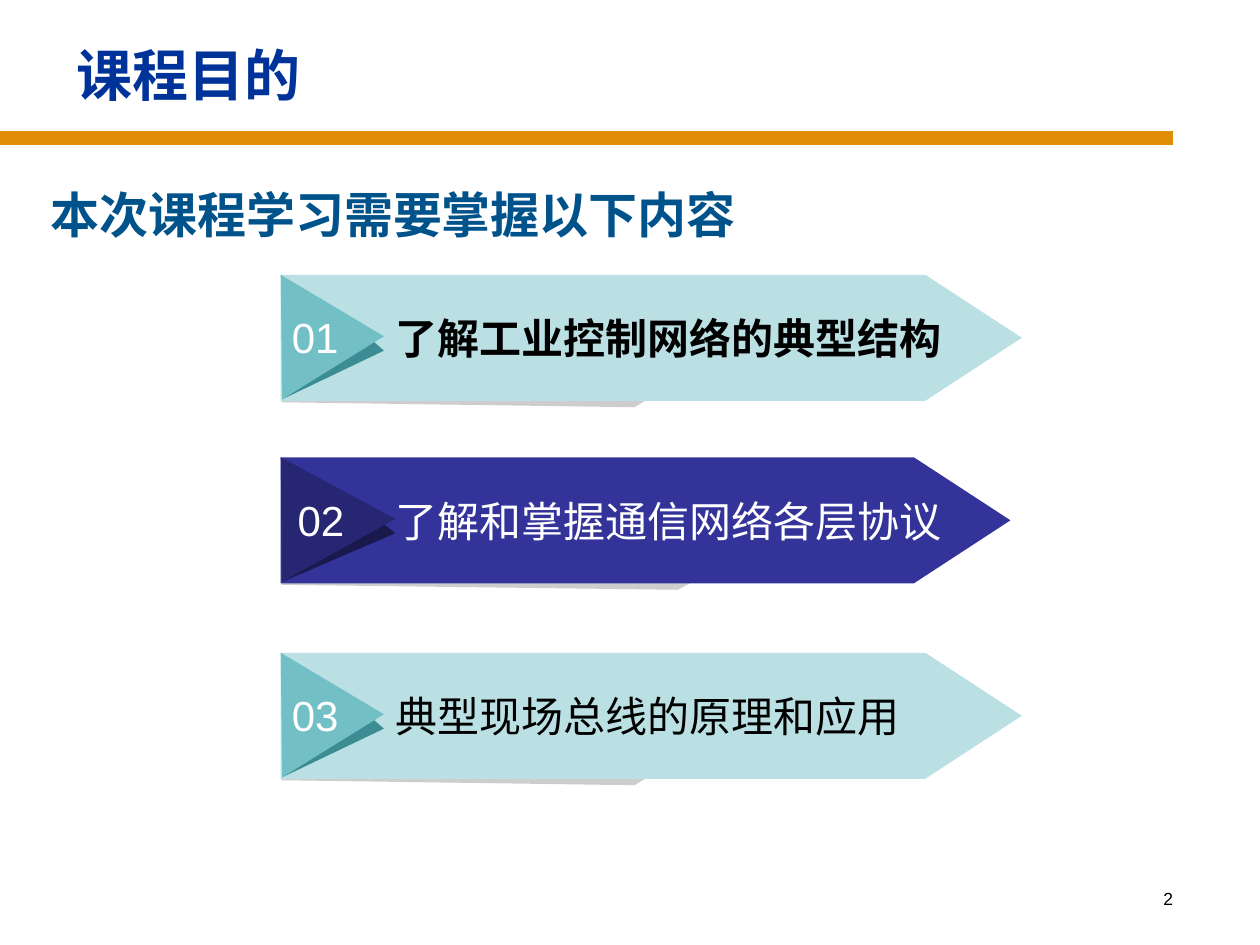
from pptx import Presentation
from pptx.dml.color import RGBColor
from pptx.enum.shapes import MSO_CONNECTOR, MSO_SHAPE
from pptx.enum.text import MSO_ANCHOR, MSO_AUTO_SIZE, PP_ALIGN
from pptx.oxml.ns import qn
from pptx.util import Cm, Pt

STRAIGHT = MSO_CONNECTOR.STRAIGHT
PENTAGON = MSO_SHAPE.PENTAGON
TOP, MIDDLE = MSO_ANCHOR.TOP, MSO_ANCHOR.MIDDLE
LEFT, CENTER, RIGHT = PP_ALIGN.LEFT, PP_ALIGN.CENTER, PP_ALIGN.RIGHT
NO_FIT = MSO_AUTO_SIZE.NONE

BANNER_LEFT, BANNER_HEIGHT = 5.66, 2.54
TEAL = {"band": "BBE0E3", "flap": "72BFC5", "fold": "3C8C93", "ink": "000000"}
NAVY = {"band": "333399", "flap": "262673", "fold": "19194D", "ink": "FFFFFF"}
NARROW = {"width": 14.94, "flap_width": 2.08, "shade_width": 9.14}
WIDE = {"width": 14.71, "flap_width": 2.31, "shade_width": 10.26}
BANNERS = [
    (5.54, "01", "了解工业控制网络的典型结构", True, TEAL, NARROW),
    (9.22, "02", "了解和掌握通信网络各层协议", False, NAVY, WIDE),
    (13.16, "03", "典型现场总线的原理和应用", False, TEAL, NARROW),
]


def colour(hex_text):
    """Turn a hex string into a colour."""
    return RGBColor.from_string(hex_text)


def place(shape, left, top, width, height):
    """Move and size a shape, in centimetres."""
    shape.left, shape.top = Cm(left), Cm(top)
    shape.width, shape.height = Cm(width), Cm(height)


def paint(shape, fill):
    """Give a shape a plain fill with no outline or shadow."""
    shape.shadow.inherit = False
    shape.fill.solid()
    shape.fill.fore_color.rgb = colour(fill)
    shape.line.fill.background()


def write(shape, text, size, ink, font="Arial", bold=False, align=LEFT,
          anchor=MIDDLE, insets=(0.25, 0.13, 0.25, 0.13)):
    """Set the single paragraph of a shape and return it."""
    frame = shape.text_frame
    frame.word_wrap, frame.auto_size = True, NO_FIT
    frame.vertical_anchor = anchor
    (frame.margin_left, frame.margin_top,
     frame.margin_right, frame.margin_bottom) = map(Cm, insets)
    frame.text = text
    para = frame.paragraphs[0]
    para.alignment = align
    para.space_before = Pt(0)
    para.font.name, para.font.size, para.font.bold = font, Pt(size), bold
    para.font.color.rgb = colour(ink)
    return para


def indent(para, margin, first):
    """Set the indents of an unbulleted paragraph."""
    props = para._p.get_or_add_pPr()
    props.set("marL", str(Cm(margin)))
    props.set("indent", str(Cm(first)))
    props.insert_element_before(props.makeelement(qn("a:buNone"), {}),
                                "a:tabLst", "a:defRPr", "a:extLst")


def add_outline(shapes, left, top, points, fill):
    """Draw a closed polygon from points relative to a corner."""
    corners = [(Cm(left + x), Cm(top + y)) for x, y in points]
    builder = shapes.build_freeform(*corners[0])
    builder.add_line_segments(corners[1:], close=True)
    shape = builder.convert_to_shape()
    paint(shape, fill)
    return shape


def add_header(page, left, top, width, height):
    """Place the title and the rule below it."""
    title = page.shapes.title
    place(title, left, top, width, height)
    indent(write(title, "课程目的", 32, "003399", "Times New Roman", True), 0.23, 0)
    rule = page.shapes.add_connector(STRAIGHT, 0, Cm(2.79), Cm(23.65), Cm(2.79))
    rule.line.color.rgb = colour("DF8E05")
    rule.line.width = Pt(8)
    properties = rule._element.spPr
    properties.append(properties.makeelement(qn("a:effectLst"), {}))


def add_lead(page, left, top, width, height):
    """Place the introductory line in the body placeholder."""
    body = page.placeholders[1]
    place(body, left, top, width, height)
    para = write(body, "本次课程学习需要掌握以下内容", 28, "00528B",
                 bold=True, anchor=TOP)
    indent(para, 1.22, -0.96)


def add_banner(page, left, top, number, text, bold, tones,
               width, flap_width, shade_width):
    """Draw a numbered arrow banner with a folded flap and a shade."""
    shapes = page.shapes.add_group_shape().shapes
    shoulder = 0.78 * shade_width
    add_outline(shapes, left, top,
                [(0.08, 0.13), (shoulder, 0.13), (shade_width, 1.47),
                 (shoulder, 2.67), (0.02, 2.57)], "CDCDCD")
    band = shapes.add_shape(PENTAGON, Cm(left), Cm(top), Cm(width), Cm(BANNER_HEIGHT))
    band.adjustments[0] = 0.766
    paint(band, tones["band"])
    write(band, text, 24, tones["ink"], bold=bold, insets=(2.31, 0, 0, 0))
    add_outline(shapes, left, top,
                [(0.88 * flap_width, 1.31), (flap_width, 1.53), (0.03, 2.51)],
                tones["fold"])
    flap = add_outline(shapes, left, top,
                       [(0, 0), (flap_width, 1.24), (0.03, 2.51)], tones["flap"])
    write(flap, number, 24, "FFFFFF", align=CENTER, insets=(0.1, 0, 0.79, 0))


def add_page_number(page, left, top, width, height):
    """Place the page number at the lower right."""
    box = page.shapes.add_textbox(Cm(left), Cm(top), Cm(width), Cm(height))
    write(box, "2", 10, "000000", align=RIGHT, anchor=TOP)


def main():
    """Build and save the deck."""
    deck = Presentation()
    deck.slide_width, deck.slide_height = Cm(25.4), Cm(19.05)
    page = deck.slides.add_slide(deck.slide_layouts[1])
    add_header(page, 1.07, 0.43, 22.86, 2.13)
    add_lead(page, 0.51, 3.58, 22.25, 1.96)
    for top, number, text, bold, tones, sizes in BANNERS:
        add_banner(page, BANNER_LEFT, top, number, text, bold, tones, **sizes)
    add_page_number(page, 18.62, 17.78, 5.28, 1.27)
    deck.save("out.pptx")


if __name__ == "__main__":
    main()
